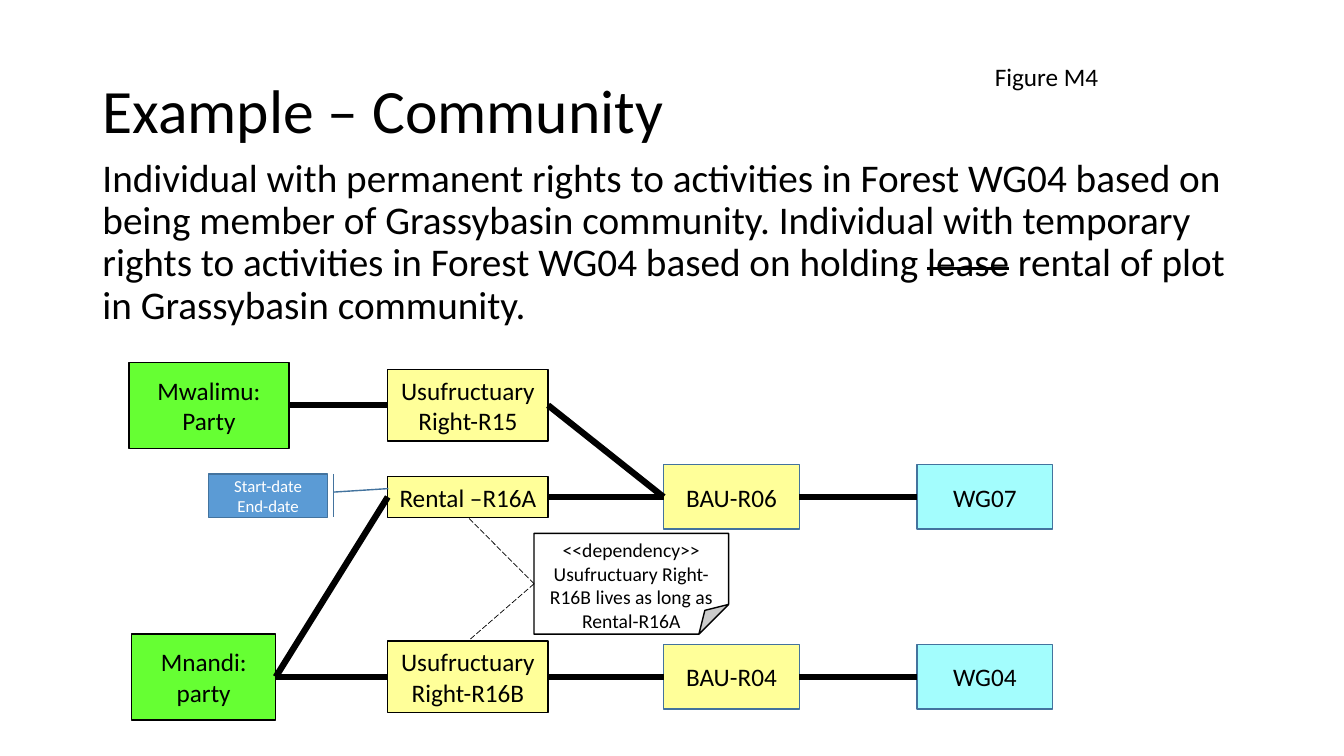
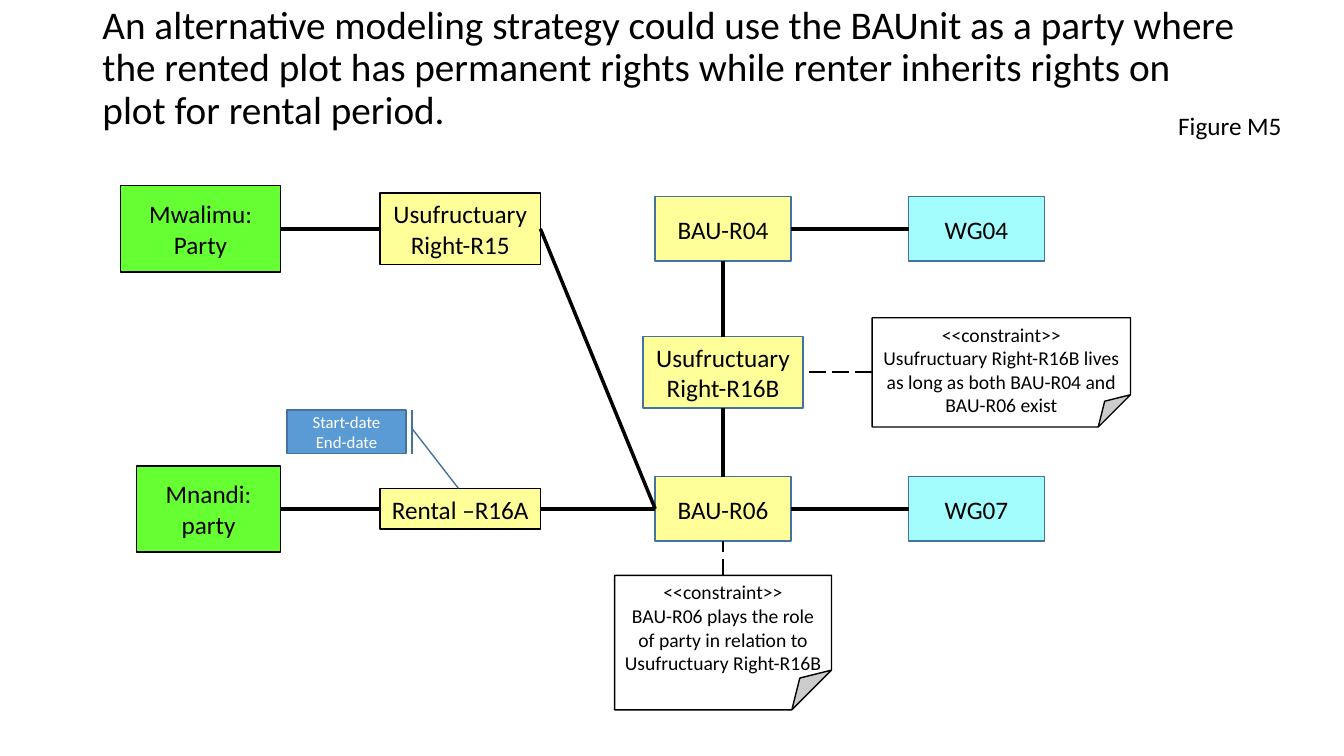
from lxml.etree import SubElement
from pptx import Presentation
from pptx.dml.color import RGBColor
from pptx.enum.dml import MSO_LINE
from pptx.enum.shapes import MSO_CONNECTOR, MSO_SHAPE
from pptx.enum.text import MSO_ANCHOR as ANCHOR, MSO_AUTO_SIZE as AUTO_SIZE, PP_ALIGN as ALIGN
from pptx.oxml.ns import qn
from pptx.util import Pt

COLORS = {
    "black": "000000", "white": "FFFFFF", "green": "66FF33", "yellow": "FFFF99",
    "cyan": "69FDFD", "blue": "5B9BD5", "navy": "43739E",
}
# Box kinds: width, height, fill, outline
KINDS = {
    "party": (114.5, 61.5, "green", "black"),
    "small party": (103, 61.5, "green", "black"),
    "right": (114.5, 51, "yellow", "black"),
    "unit right": (114.5, 51, "yellow", "navy"),
    "rental": (114.5, 29, "yellow", "black"),
    "unit": (97, 46, "yellow", "navy"),
    "parcel": (97, 46, "cyan", "navy"),
}
CYAN_ALPHA = 61
TOP, LEFT, BOTTOM, RIGHT = range(4)  # connection sites of a box
TEXT_LEFT, TEXT_WIDTH = 66, 828


def rgb(name):
    return RGBColor.from_string(COLORS[name])


def set_guides(shape, **guides):
    """Set the adjustment guides of a preset shape, as fractions."""
    guide_list = shape.element.spPr.find(qn("a:prstGeom")).find(qn("a:avLst"))
    for guide in list(guide_list):
        guide_list.remove(guide)
    for name, value in guides.items():
        SubElement(guide_list, qn("a:gd"), name=name, fmla=f"val {round(value * 100000)}")


class Deck:
    """Holds the shared style and the current slide."""

    font_name = "Calibri"

    def __init__(self):
        self.presentation = Presentation()
        self.presentation.slide_width, self.presentation.slide_height = Pt(960), Pt(540)
        self.slide = None
        self.link_width = None

    def new_slide(self, link_width):
        layout = self.presentation.slide_layouts[1]
        self.slide = self.presentation.slides.add_slide(layout)
        self.link_width = link_width

    def style(self, paragraph, size, color="black", align=ALIGN.LEFT):
        paragraph.alignment = align
        paragraph.font.name = self.font_name
        paragraph.font.size = Pt(size)
        paragraph.font.color.rgb = rgb(color)

    def place(self, shape, top, height):
        shape.left, shape.top = Pt(TEXT_LEFT), Pt(top)
        shape.width, shape.height = Pt(TEXT_WIDTH), Pt(height)
        shape.text_frame.auto_size = AUTO_SIZE.NONE

    def title(self, text):
        shape = self.slide.shapes.title
        self.place(shape, 29, 104)
        frame = shape.text_frame
        frame.text = text
        frame.vertical_anchor = ANCHOR.MIDDLE
        frame.paragraphs[0].line_spacing = 0.9
        self.style(frame.paragraphs[0], 44)

    def no_title(self):
        element = self.slide.shapes.title.element
        element.getparent().remove(element)

    def body(self, top, height, *parts):
        """Write one paragraph; every second part is struck through."""
        shape = self.slide.placeholders[1]
        self.place(shape, top, height)
        paragraph = shape.text_frame.paragraphs[0]
        paragraph.line_spacing = 0.9
        paragraph.space_before = Pt(10)
        self.style(paragraph, 28)
        properties = paragraph._p.get_or_add_pPr()
        properties.set("marL", "0")
        properties.set("indent", "0")
        bullet = SubElement(properties, qn("a:buNone"))
        properties.find(qn("a:defRPr")).addprevious(bullet)
        for index, part in enumerate(parts):
            run = paragraph.add_run()
            run.text = part
            if index % 2:
                run._r.get_or_add_rPr().set("strike", "sngStrike")

    def figure_label(self, text, left, top):
        shape = self.slide.shapes.add_textbox(Pt(left), Pt(top), Pt(120), Pt(29))
        shape.text_frame.word_wrap = True
        shape.text_frame.text = text
        self.style(shape.text_frame.paragraphs[0], 18)

    def shape(self, preset, left, middle, size, fill, outline, lines, font_size,
              font_color="black", anchor=ANCHOR.MIDDLE):
        width, height = size
        shape = self.slide.shapes.add_shape(
            preset, Pt(left), Pt(middle - height / 2), Pt(width), Pt(height))
        shape.shadow.inherit = False
        shape.fill.solid()
        shape.fill.fore_color.rgb = rgb(fill)
        shape.line.color.rgb = rgb(outline)
        shape.line.width = Pt(1)
        frame = shape.text_frame
        frame.word_wrap = True
        frame.vertical_anchor = anchor
        frame.text = "\n".join(lines)
        for paragraph in frame.paragraphs:
            self.style(paragraph, font_size, font_color, ALIGN.CENTER)
        return shape

    def box(self, kind, text, left, middle):
        width, height, fill, outline = KINDS[kind]
        shape = self.shape(MSO_SHAPE.RECTANGLE, left, middle, (width, height),
                           fill, outline, [text], 18)
        if fill == "cyan":
            color = shape.element.spPr.find(qn("a:solidFill")).find(qn("a:srgbClr"))
            SubElement(color, qn("a:alpha")).set("val", str(CYAN_ALPHA * 1000))
        return shape

    def note(self, stereotype, text, left, middle, size):
        shape = self.shape(MSO_SHAPE.FOLDED_CORNER, left, middle, size, "white", "black",
                           [stereotype, text], 14, anchor=ANCHOR.TOP)
        set_guides(shape, adj=0.295)
        return shape

    def dates_callout(self, left, middle, tip_y, tip_x):
        shape = self.shape(MSO_SHAPE.LINE_CALLOUT_1_BORDER_AND_ACCENT_BAR, left, middle,
                           (85, 31), "blue", "navy", ["Start-date", "End-date"], 12, "white")
        set_guides(shape, adj1=0.42, adj2=1.05, adj3=tip_y, adj4=tip_x)

    def link(self, start, start_site, end, end_site, dash_width=None):
        """Join two shapes; a dash width makes the line dashed."""
        line = self.slide.shapes.add_connector(MSO_CONNECTOR.STRAIGHT, 0, 0, 0, 0)
        line.begin_connect(start, start_site)
        line.end_connect(end, end_site)
        line.line.color.rgb = rgb("black")
        line.line.width = Pt(dash_width or self.link_width)
        if dash_width:
            line.line.dash_style = MSO_LINE.LONG_DASH
        SubElement(line._element.spPr, qn("a:effectLst"))

    def chain(self, *boxes):
        for start, end in zip(boxes, boxes[1:]):
            self.link(start, RIGHT, end, LEFT)


def community_slide(deck):
    deck.new_slide(link_width=4.5)
    deck.title("Example – Community")
    deck.body(109.5, 377,
              "Individual with permanent rights to activities in Forest WG04 based on being "
              "member of Grassybasin community. Individual with temporary rights to activities "
              "in Forest WG04 based on holding ",
              "lease", " rental of plot in Grassybasin community.")
    deck.figure_label("Figure M4", 703.5, 40.5)

    # Boxes, by column and row
    party_x, right_x, unit_x, parcel_x = 92, 277, 474, 655
    top_row, middle_row, bottom_row = 289.5, 355, 483.5
    mwalimu = deck.box("party", "Mwalimu: Party", party_x, top_row)
    mnandi = deck.box("small party", "Mnandi: party", 94, bottom_row)
    right_15 = deck.box("right", "Usufructuary Right-R15", right_x, top_row)
    rental = deck.box("rental", "Rental –R16A", right_x, middle_row)
    right_16b = deck.box("right", "Usufructuary Right-R16B", right_x, bottom_row)
    unit_06 = deck.box("unit", "BAU-R06", unit_x, middle_row)
    unit_04 = deck.box("unit", "BAU-R04", unit_x, bottom_row)
    parcel_07 = deck.box("parcel", "WG07", parcel_x, middle_row)
    parcel_04 = deck.box("parcel", "WG04", parcel_x, bottom_row)
    note = deck.note("<<dependency>>", "Usufructuary Right-R16B lives as long as Rental-R16A",
                     381.5, 417, (139, 72))
    deck.dates_callout(149, 354, 0.34, 1.51)

    # Links
    deck.chain(mwalimu, right_15, unit_06, parcel_07)
    deck.chain(mnandi, rental, unit_06)
    deck.chain(mnandi, right_16b, unit_04, parcel_04)
    deck.link(note, LEFT, right_16b, TOP, dash_width=0.5)
    deck.link(note, LEFT, rental, BOTTOM, dash_width=0.5)


def alternative_slide(deck):
    deck.new_slide(link_width=2.5)
    deck.no_title()
    deck.body(0.5, 105,
              "An alternative modeling strategy could use the BAUnit as a party where the rented "
              "plot has permanent rights while renter inherits rights on plot for rental period.")
    deck.figure_label("Figure M5", 834.5, 75.5)

    # Boxes, by column and row
    party_x, right_x, unit_x, parcel_x = 86, 271.5, 468, 649
    top_row, middle_row, bottom_row = 163.5, 266, 363.5
    mwalimu = deck.box("party", "Mwalimu: Party", party_x, top_row)
    mnandi = deck.box("small party", "Mnandi: party", 97.5, bottom_row)
    right_15 = deck.box("right", "Usufructuary Right-R15", right_x, top_row)
    rental = deck.box("rental", "Rental –R16A", right_x, bottom_row)
    unit_04 = deck.box("unit", "BAU-R04", unit_x, top_row)
    right_16b = deck.box("unit right", "Usufructuary Right-R16B", 459.25, middle_row)
    unit_06 = deck.box("unit", "BAU-R06", unit_x, bottom_row)
    parcel_04 = deck.box("parcel", "WG04", parcel_x, top_row)
    parcel_07 = deck.box("parcel", "WG07", parcel_x, bottom_row)
    life_note = deck.note(
        "<<constraint>>", "Usufructuary Right-R16B lives as long as both BAU-R04 and BAU-R06 exist",
        623, middle_row, (184.5, 78))
    role_note = deck.note(
        "<<constraint>>", "BAU-R06 plays the role of party in relation to Usufructuary Right-R16B",
        439, 459, (155, 96))
    deck.dates_callout(205, 308.5, 1.8, 1.44)

    # Links
    deck.chain(mwalimu, right_15, unit_06, parcel_07)
    deck.chain(mnandi, rental, unit_06)
    deck.chain(unit_04, parcel_04)
    deck.link(right_16b, TOP, unit_04, BOTTOM)
    deck.link(unit_06, TOP, right_16b, BOTTOM)
    deck.link(life_note, LEFT, right_16b, RIGHT, dash_width=1.5)
    deck.link(role_note, TOP, unit_06, BOTTOM, dash_width=1.5)


def main():
    deck = Deck()
    community_slide(deck)
    alternative_slide(deck)
    deck.presentation.save("out.pptx")


if __name__ == "__main__":
    main()
